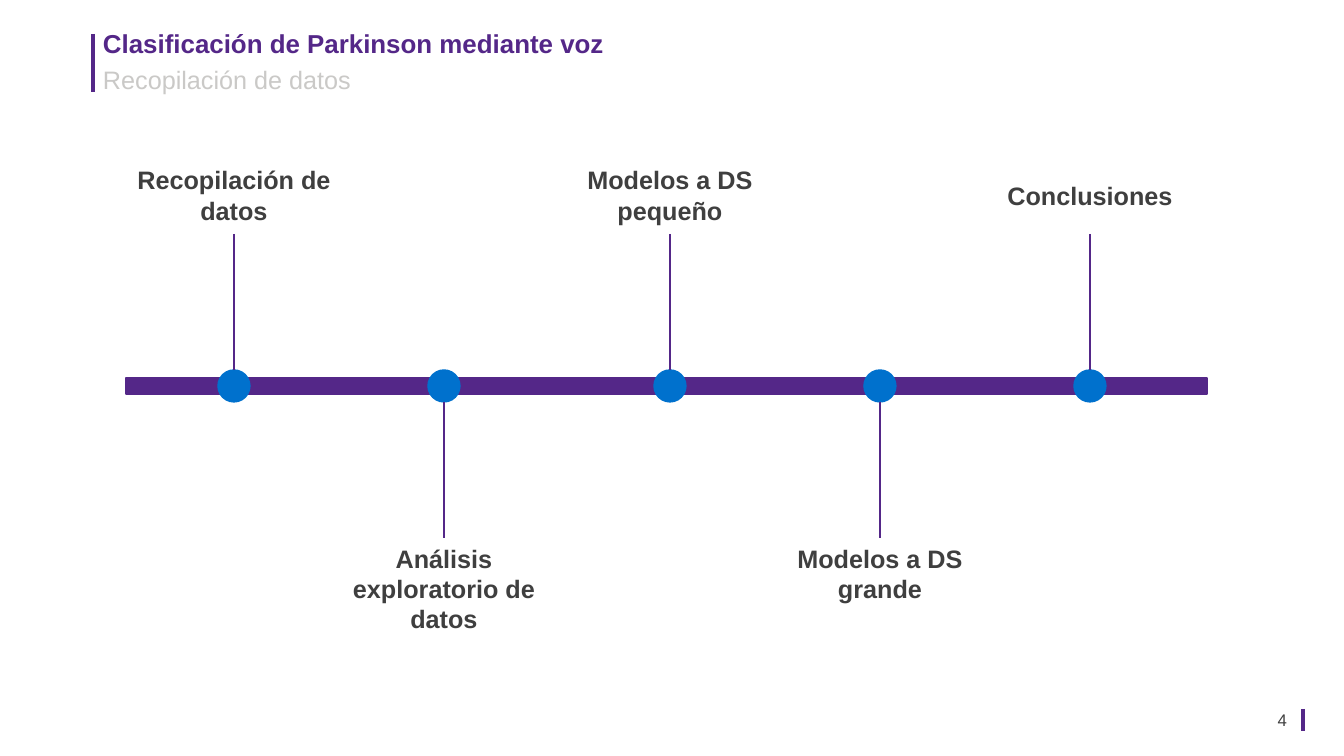
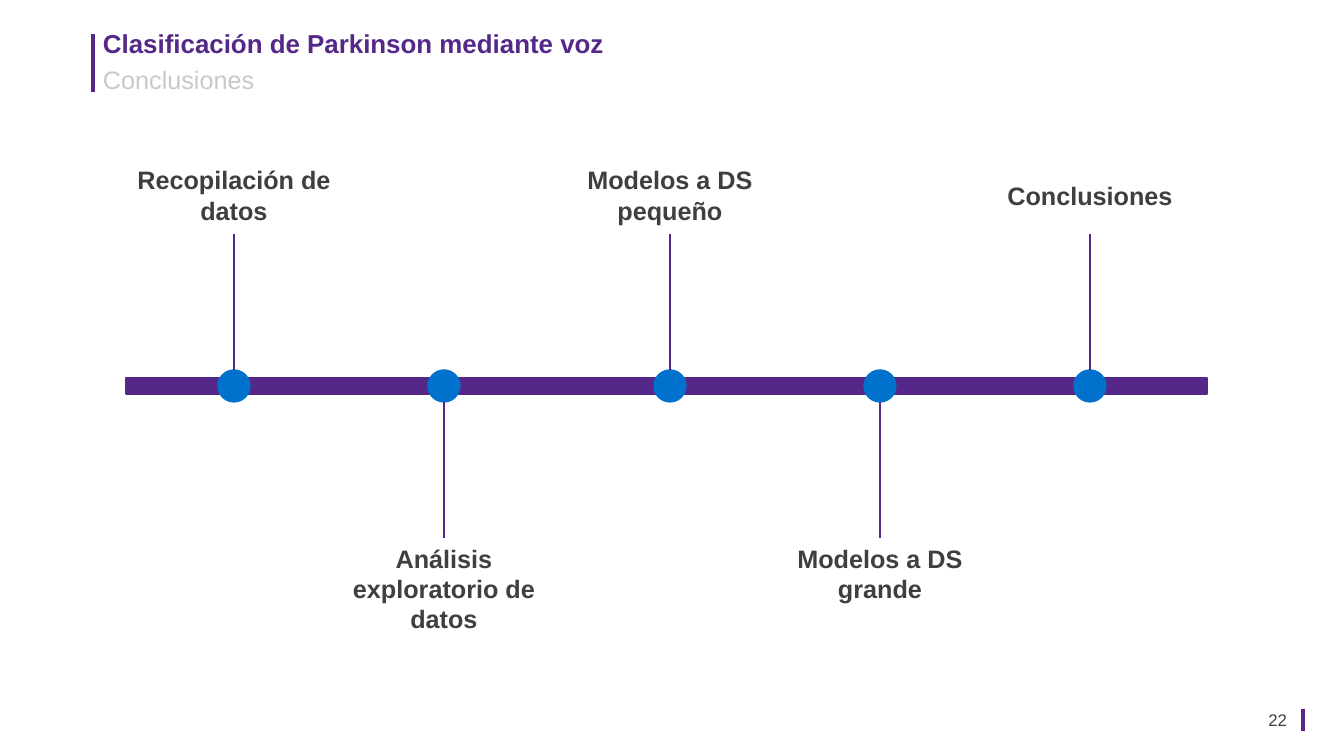
from lxml import etree
from pptx import Presentation
from pptx.dml.color import RGBColor
from pptx.enum.shapes import MSO_CONNECTOR, MSO_SHAPE
from pptx.enum.text import MSO_ANCHOR, MSO_AUTO_SIZE, PP_ALIGN
from pptx.oxml.ns import qn
from pptx.util import Emu, Pt

STRAIGHT = MSO_CONNECTOR.STRAIGHT
RECTANGLE, OVAL = MSO_SHAPE.RECTANGLE, MSO_SHAPE.OVAL
TOP, MIDDLE = MSO_ANCHOR.TOP, MSO_ANCHOR.MIDDLE
LEFT, CENTER, RIGHT = PP_ALIGN.LEFT, PP_ALIGN.CENTER, PP_ALIGN.RIGHT
NO_FIT = MSO_AUTO_SIZE.NONE

EMU_PER_PX = 914400 / 100.8
SLIDE_SIZE = (1344, 756)
FONT = "Arial"
PURPLE, BLUE, DARK, PALE = "542788", "0071CD", "3F3F3F", "CAC9C7"

TITLE = "Clasificación de Parkinson mediante voz"
HEADER_BOX = (93, 29, 1159, 78)
FOOTER_BOX = (1243, 700, 60, 40)
TIMELINE_BOX = (126, 159, 1081, 481)
# Centre of each stage, measured from the left end of the timeline
STAGES = [
    (108, "Recopilación de datos"),
    (318, "Análisis exploratorio de datos"),
    (544, "Modelos a DS pequeño"),
    (754, "Modelos a DS grande"),
    (964, "Conclusiones"),
]
SLIDES = [("Recopilación de datos", "4"), ("Conclusiones", "22")]


def px(length):
    return Emu(round(length * EMU_PER_PX))


def color(value):
    return RGBColor.from_string(value)


def set_all(target, values):
    for name, value in values.items():
        setattr(target, name, value)


def write(shape, text, size, ink, bold=False, align=LEFT, anchor=TOP, spacing=1.0):
    frame = shape.text_frame
    frame.text = text
    set_all(frame, {
        "word_wrap": True, "auto_size": NO_FIT, "vertical_anchor": anchor,
        "margin_left": px(10), "margin_right": px(10),
        "margin_top": px(5), "margin_bottom": px(5),
    })
    paragraph = frame.paragraphs[0]
    set_all(paragraph, {"alignment": align, "line_spacing": spacing})
    font = paragraph.runs[0].font
    set_all(font, {"name": FONT, "size": Pt(size), "bold": bold})
    font.color.rgb = color(ink)


def add_text(slide, box, text, size, ink, **style):
    write(slide.shapes.add_textbox(*map(px, box)), text, size, ink, **style)


def add_vertical(slide, x, top, bottom, weight):
    rule = slide.shapes.add_connector(STRAIGHT, px(x), px(top), px(x), px(bottom))
    rule.line.color.rgb = color(PURPLE)
    rule.line.width = Pt(weight)
    etree.SubElement(rule._element.spPr, qn("a:effectLst"))


def add_solid(slide, preset, box, fill):
    solid = slide.shapes.add_shape(preset, *map(px, box))
    solid.shadow.inherit = False
    solid.fill.solid()
    solid.fill.fore_color.rgb = color(fill)
    solid.line.color.rgb = color(fill)
    solid.line.width = Pt(1)


def add_header(slide, box, subtitle):
    left, top, width, height = box
    add_vertical(slide, left, top + 5, top + 63, 2.5)
    title = slide.shapes.title
    set_all(title, {"left": px(left), "top": px(top),
                    "width": px(width), "height": px(36)})
    write(title, TITLE, 18.5, PURPLE, bold=True, spacing=0.8)
    add_text(slide, (left, top + 34, width, height - 34), subtitle, 18, PALE,
             spacing=0.9)


def add_footer(slide, box, number):
    left, top, width, height = box
    add_text(slide, (left, top, width - 6, height), number, 12, DARK,
             align=RIGHT, anchor=MIDDLE)
    add_vertical(slide, left + width, top + 9, top + 31, 2.5)


def add_timeline(slide, box):
    """Place the bar and its stages, with labels alternately above and below."""
    left, top, width, height = box
    axis = top + 227
    bar, dot, stem, label_width = 16, 32, 136, 252
    upper_label, lower_label = 72, 102
    add_solid(slide, RECTANGLE, (left, axis - bar // 2, width, bar), PURPLE)
    for index, (offset, label) in enumerate(STAGES):
        center = left + offset
        label_left = center - label_width // 2
        add_solid(slide, OVAL, (center - dot // 2, axis - dot // 2, dot, dot), BLUE)
        if index % 2 == 0:
            stem_top = axis - dot // 2 - stem
            label_top, label_height, anchor = top, upper_label, MIDDLE
        else:
            stem_top = axis + dot // 2
            label_top, label_height, anchor = top + height - lower_label, lower_label, TOP
        add_vertical(slide, center, stem_top, stem_top + stem, 2)
        add_text(slide, (label_left, label_top, label_width, label_height), label,
                 18, DARK, bold=True, align=CENTER, anchor=anchor)


def main():
    deck = Presentation()
    deck.slide_width, deck.slide_height = map(px, SLIDE_SIZE)
    title_only = deck.slide_layouts[5]
    for subtitle, number in SLIDES:
        slide = deck.slides.add_slide(title_only)
        add_header(slide, HEADER_BOX, subtitle)
        add_timeline(slide, TIMELINE_BOX)
        add_footer(slide, FOOTER_BOX, number)
    deck.save("out.pptx")


if __name__ == "__main__":
    main()
